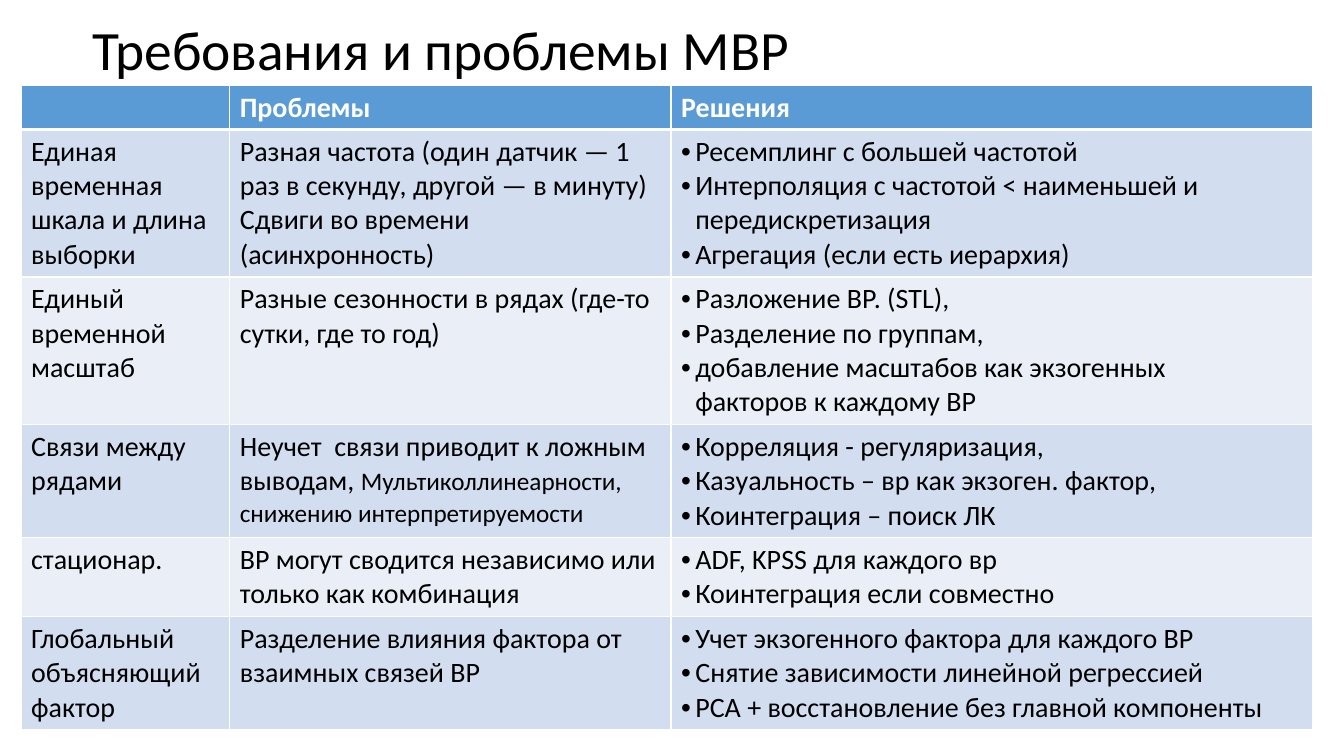
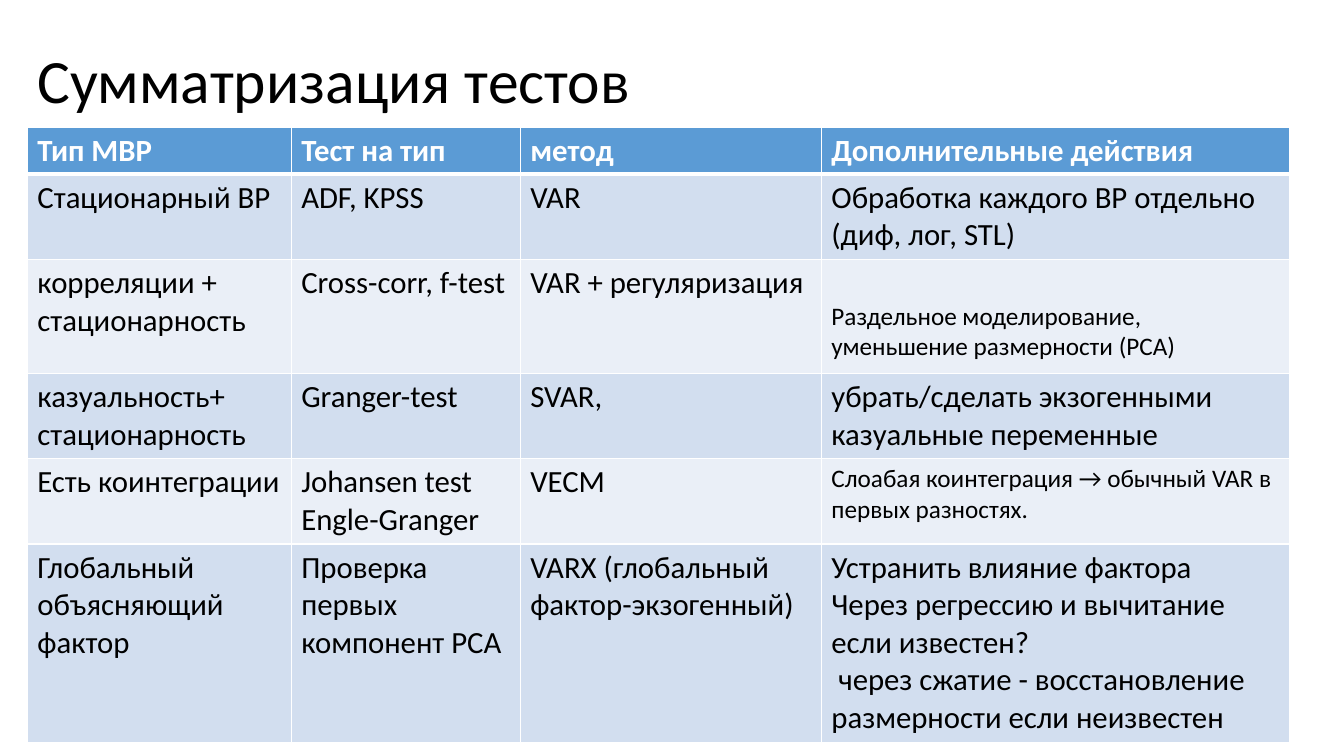
from dataclasses import dataclass

import pptx
import pptx.dml.color
import pptx.enum.text
import pptx.oxml.ns
import pptx.presentation
import pptx.slide
import pptx.table
import pptx.text.text
import pptx.util
from lxml import etree

Cm = pptx.util.Cm
Pt = pptx.util.Pt
RGBColor = pptx.dml.color.RGBColor
qn = pptx.oxml.ns.qn

# Shared look
FONT = "Calibri"
BLACK = RGBColor(0x00, 0x00, 0x00)
WHITE = RGBColor(0xFF, 0xFF, 0xFF)
HEADER = RGBColor(0x5B, 0x9B, 0xD5)
BANDS = (RGBColor(0xD2, 0xDE, 0xEF), RGBColor(0xEA, 0xEF, 0xF7))
SMALL_SIZE = 18
THIN, THICK = 1, 3
BULLET_INDENT = Cm(0.36)
EDGES = ("a:lnL", "a:lnR", "a:lnT", "a:lnB")


@dataclass(frozen=True)
class Span:
    text: str
    small: bool = False


@dataclass(frozen=True)
class Entry:
    """Content of one table cell: paragraphs made of spans."""
    paras: tuple[tuple[Span, ...], ...]
    bulleted: bool = False
    lowered: bool = False


@dataclass(frozen=True)
class Title:
    text: str
    size: float
    left: float
    top: float
    width: float
    height: float


@dataclass(frozen=True)
class Grid:
    left: float
    top: float
    widths: tuple[float, ...]
    heights: tuple[float, ...]
    size: float
    rows: tuple[tuple[Entry, ...], ...]


def plain(*lines: str) -> Entry:
    return Entry(tuple((Span(line),) for line in lines))


def bullets(*lines: str) -> Entry:
    return Entry(plain(*lines).paras, bulleted=True)


def small(text: str, lowered: bool = False) -> Entry:
    return Entry(((Span(text, small=True),),), lowered=lowered)


# Content
REQUIREMENTS_TITLE = Title("Требования и проблемы МВР", 39.6, 2.08, 0.48, 31.01, 1.68)
REQUIREMENTS = Grid(
    0.53, 2.16, (5.26, 11.12, 16.18), (1.09, 3.72, 3.72, 2.85, 1.99, 2.85), 20,
    (
        (plain(""), plain("Проблемы"), plain("Решения")),
        (
            plain("Единая временная шкала и длина выборки"),
            plain("Разная частота (один датчик — 1 раз в секунду, другой — в минуту)",
                  "Сдвиги во времени (асинхронность)"),
            bullets("Ресемплинг с большей частотой",
                    "Интерполяция с частотой < наименьшей и передискретизация",
                    "Агрегация (если есть иерархия)"),
        ),
        (
            plain("Единый временной масштаб"),
            plain("Разные сезонности в рядах (где-то сутки, где то год)"),
            bullets("Разложение ВР. (STL),",
                    "Разделение по группам,",
                    "добавление масштабов как экзогенных \nфакторов к каждому ВР"),
        ),
        (
            plain("Связи между рядами"),
            Entry(((Span("Неучет  связи приводит к ложным выводам, "),
                    Span("Мультиколлинеарности, снижению интерпретируемости", small=True)),)),
            bullets("Корреляция - регуляризация,",
                    "Казуальность – вр как экзоген. фактор,",
                    "Коинтеграция – поиск ЛК"),
        ),
        (
            plain("стационар."),
            plain("ВР могут сводится независимо или только как комбинация"),
            bullets("ADF, KPSS для каждого вр", "Коинтеграция если совместно"),
        ),
        (
            plain("Глобальный объясняющий фактор"),
            plain("Разделение влияния фактора от взаимных связей ВР"),
            bullets("Учет экзогенного фактора для каждого ВР",
                    "Снятие зависимости линейной регрессией",
                    "PCA + восстановление без главной компоненты"),
        ),
    ),
)

TESTS_TITLE = Title("Сумматризация тестов", 44, 0.69, 1.02, 30.84, 2.18)
TESTS = Grid(
    0.69, 3.2, (6.65, 5.77, 7.59, 11.79), (1.17, 2.15, 2.87, 2.15, 2.15, 5), 22,
    (
        (plain("Тип МВР"), plain("Тест на тип"), plain("метод"),
         plain("Дополнительные действия")),
        (plain("Стационарный ВР"), plain("ADF, KPSS"), plain("VAR"),
         plain("Обработка каждого ВР отдельно (диф, лог, STL)")),
        (plain("корреляции + стационарность"), plain("Cross-corr, f-test"),
         plain("VAR + регуляризация"),
         small("Раздельное моделирование, уменьшение размерности (PCA)", lowered=True)),
        (plain("казуальность+ стационарность"), plain("Granger-test"), plain("SVAR,"),
         plain("убрать/сделать экзогенными казуальные переменные")),
        (plain("Есть коинтеграции"), plain("Johansen test Engle-Granger"), plain("VECM"),
         small("Слоабая коинтеграция → обычный VAR в первых разностях.")),
        (plain("Глобальный объясняющий фактор"), plain("Проверка первых компонент PCA"),
         plain("VARX (глобальный фактор-экзогенный)"),
         plain("Устранить влияние фактора",
               "Через регрессию и вычитание если известен?",
               " через сжатие - восстановление размерности если неизвестен")),
    ),
)


# Text
def add_text(para: pptx.text.text._Paragraph, text: str, size: float,
             color: RGBColor, bold: bool = False) -> None:
    for index, piece in enumerate(text.split("\n")):
        if index:
            para.add_line_break()
        if piece:
            span = para.add_run()
            span.text = piece
            span.font.name = FONT
            span.font.size = Pt(size)
            span.font.bold = bold
            span.font.color.rgb = color


def add_bullet(para: pptx.text.text._Paragraph) -> None:
    properties = para._p.get_or_add_pPr()
    properties.set("marL", str(BULLET_INDENT))
    properties.set("indent", str(-BULLET_INDENT))
    etree.SubElement(properties, qn("a:buFont")).set("typeface", "Arial")
    etree.SubElement(properties, qn("a:buChar")).set("char", "•")


def add_title(page: pptx.slide.Slide, title: Title) -> None:
    box = page.shapes.add_textbox(Cm(title.left), Cm(title.top),
                                  Cm(title.width), Cm(title.height))
    frame = box.text_frame
    frame.word_wrap = True
    frame.vertical_anchor = pptx.enum.text.MSO_ANCHOR.MIDDLE
    para = frame.paragraphs[0]
    para.line_spacing = 0.9
    add_text(para, title.text, title.size, BLACK)


# Table
def set_borders(cell: pptx.table._Cell, row: int) -> None:
    thick_edge = {0: "a:lnB", 1: "a:lnT"}.get(row)
    properties = cell._tc.get_or_add_tcPr()
    for edge in EDGES:
        line = etree.SubElement(properties, qn(edge))
        line.set("w", str(Pt(THICK if edge == thick_edge else THIN)))
        fill = etree.SubElement(line, qn("a:solidFill"))
        etree.SubElement(fill, qn("a:srgbClr")).set("val", str(WHITE))


def fill_cell(cell: pptx.table._Cell, entry: Entry, row: int, size: float) -> None:
    is_header = row == 0
    set_borders(cell, row)
    cell.fill.solid()
    cell.fill.fore_color.rgb = HEADER if is_header else BANDS[(row - 1) % 2]
    if entry.lowered:
        cell.vertical_anchor = pptx.enum.text.MSO_ANCHOR.MIDDLE
        cell.margin_top, cell.margin_bottom = Cm(1.03), Cm(0.25)
    frame = cell.text_frame
    for index, spans in enumerate(entry.paras):
        para = frame.add_paragraph() if index else frame.paragraphs[0]
        if entry.bulleted:
            add_bullet(para)
        for span in spans:
            add_text(para, span.text, SMALL_SIZE if span.small else size,
                     WHITE if is_header else BLACK, is_header)


def add_grid(page: pptx.slide.Slide, grid: Grid) -> None:
    table = page.shapes.add_table(
        len(grid.heights), len(grid.widths), Cm(grid.left), Cm(grid.top),
        Cm(sum(grid.widths)), Cm(sum(grid.heights))).table
    for column, width in zip(table.columns, grid.widths):
        column.width = Cm(width)
    for index, (height, entries) in enumerate(zip(grid.heights, grid.rows)):
        table.rows[index].height = Cm(height)
        for column, entry in enumerate(entries):
            fill_cell(table.cell(index, column), entry, index, grid.size)


def add_page(deck: pptx.presentation.Presentation, title: Title, grid: Grid) -> None:
    page = deck.slides.add_slide(deck.slide_layouts[6])
    add_title(page, title)
    add_grid(page, grid)


def main() -> None:
    deck = pptx.Presentation()
    deck.slide_width, deck.slide_height = Cm(33.87), Cm(19.05)
    add_page(deck, REQUIREMENTS_TITLE, REQUIREMENTS)
    add_page(deck, TESTS_TITLE, TESTS)
    deck.save("out.pptx")


if __name__ == "__main__":
    main()
